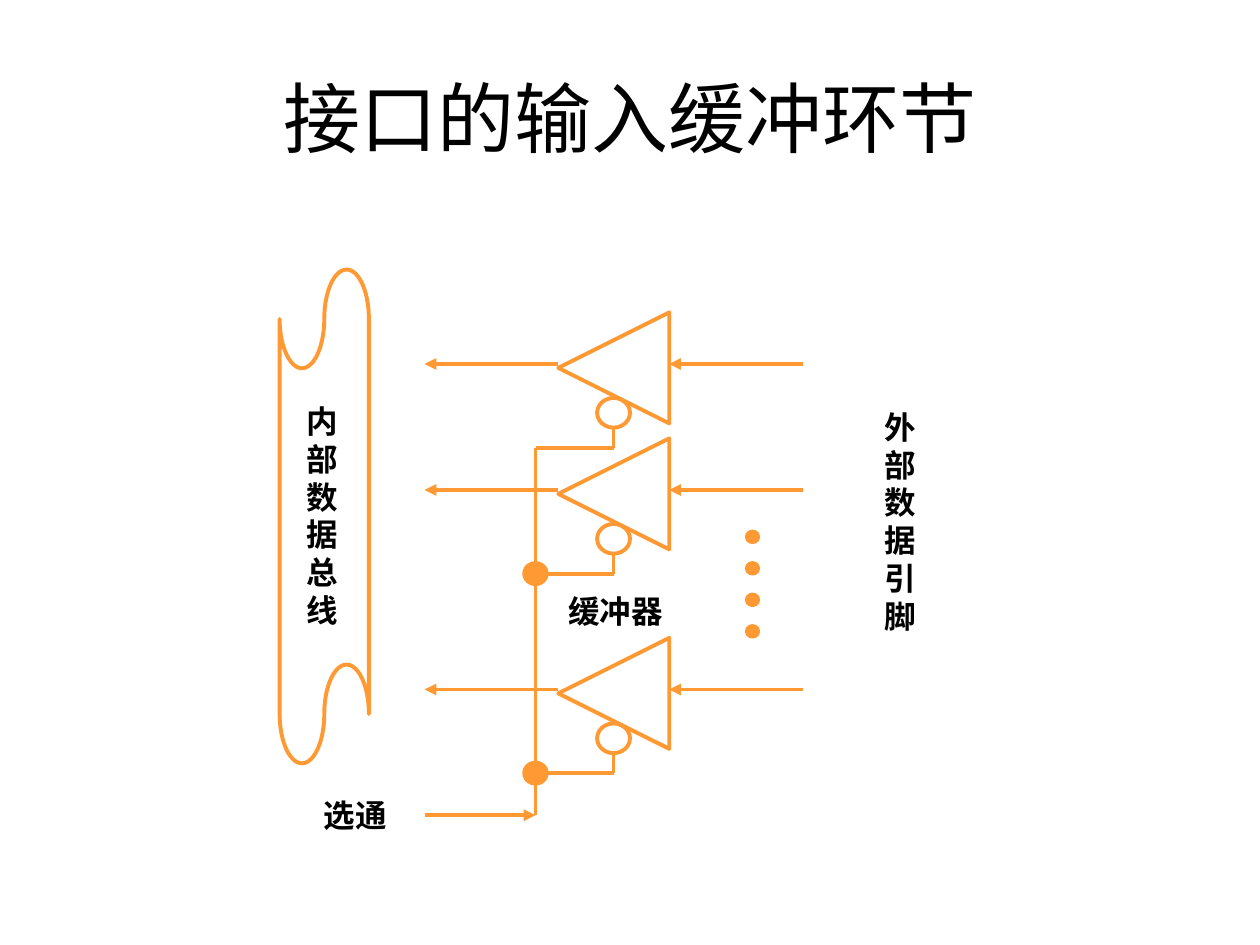
from dataclasses import dataclass
from typing import Any

from lxml.etree import SubElement
from pptx import Presentation
from pptx.dml.color import RGBColor
from pptx.enum.shapes import MSO_CONNECTOR, MSO_SHAPE
from pptx.enum.text import MSO_ANCHOR, MSO_AUTO_SIZE, PP_ALIGN
from pptx.oxml.ns import qn
from pptx.util import Pt

ORANGE = "FF9933"
BLACK = "000000"
LINE_WIDTH = 2.25

BUS_ARROW_X = 242.6
STROBE_X = 306
BUFFER_X = 319
BUFFER_SIZE = 63.4
BUBBLE_X = 350.6
PIN_X = 458.6
STROBE_Y = 465.8
BRANCH_DROP = 47.8


@dataclass(frozen=True)
class Box:
    left: float
    top: float
    width: float
    height: float

    def lengths(self) -> tuple:
        return Pt(self.left), Pt(self.top), Pt(self.width), Pt(self.height)


@dataclass(frozen=True)
class Outline:
    kind: MSO_SHAPE
    box: Box
    fill: str = ""
    rotation: float = 0


@dataclass(frozen=True)
class Wire:
    start_x: float
    start_y: float
    end_x: float
    end_y: float
    arrow: bool = False


@dataclass(frozen=True)
class Label:
    lines: tuple
    box: Box
    font: str = "Arial"
    size: float = 18
    bold: bool = True
    wrap: bool = False


def color(value: str) -> RGBColor:
    return RGBColor.from_string(value)


def apply_format(target: Any, values: dict) -> None:
    for name, value in values.items():
        setattr(target, name, value)


def draw_outline(slide: Any, outline: Outline) -> None:
    shape = slide.shapes.add_shape(outline.kind, *outline.box.lengths())
    shape.shadow.inherit = False
    shape.rotation = outline.rotation
    if outline.fill:
        shape.fill.solid()
        shape.fill.fore_color.rgb = color(outline.fill)
    else:
        shape.fill.background()
    shape.line.color.rgb = color(ORANGE)
    shape.line.width = Pt(LINE_WIDTH)


def draw_wire(slide: Any, wire: Wire) -> None:
    connector = slide.shapes.add_connector(
        MSO_CONNECTOR.STRAIGHT,
        Pt(wire.start_x), Pt(wire.start_y), Pt(wire.end_x), Pt(wire.end_y),
    )
    connector.line.color.rgb = color(ORANGE)
    connector.line.width = Pt(LINE_WIDTH)
    if wire.arrow:
        SubElement(connector.line._get_or_add_ln(), qn("a:tailEnd"), type="triangle")
    SubElement(connector._element.spPr, qn("a:effectLst"))


def draw_label(slide: Any, label: Label) -> None:
    frame = slide.shapes.add_textbox(*label.box.lengths()).text_frame
    fit = MSO_AUTO_SIZE.NONE if label.wrap else MSO_AUTO_SIZE.SHAPE_TO_FIT_TEXT
    apply_format(frame, {
        "text": "\n".join(label.lines),
        "word_wrap": label.wrap,
        "auto_size": fit,
        "vertical_anchor": MSO_ANCHOR.MIDDLE,
    })
    for paragraph in frame.paragraphs:
        paragraph.alignment = PP_ALIGN.CENTER
        for run in paragraph.runs:
            apply_format(run.font, {
                "name": label.font, "size": Pt(label.size), "bold": label.bold,
            })
            run.font.color.rgb = color(BLACK)


def draw_dot(slide: Any, center_x: float, center_y: float, width: float, height: float) -> None:
    box = Box(center_x - width / 2, center_y - height / 2, width, height)
    draw_outline(slide, Outline(MSO_SHAPE.OVAL, box, ORANGE))


def draw_buffer(slide: Any, signal_y: float) -> None:
    triangle = Box(BUFFER_X, signal_y - 29.5, BUFFER_SIZE, BUFFER_SIZE)
    bubble = Box(BUBBLE_X - 9.4, signal_y + 19.4, 18.8, 17)
    branch_y = signal_y + BRANCH_DROP
    draw_outline(slide, Outline(MSO_SHAPE.OVAL, bubble))
    draw_outline(slide, Outline(MSO_SHAPE.ISOSCELES_TRIANGLE, triangle, rotation=270))
    for wire in (
        Wire(BUFFER_X, signal_y, BUS_ARROW_X, signal_y, True),
        Wire(PIN_X, signal_y, BUFFER_X + BUFFER_SIZE, signal_y, True),
        Wire(BUBBLE_X, signal_y + 36.2, BUBBLE_X, branch_y),
        Wire(STROBE_X, branch_y, BUBBLE_X, branch_y),
    ):
        draw_wire(slide, wire)


def main() -> None:
    presentation = Presentation()
    presentation.slide_width = Pt(720)
    presentation.slide_height = Pt(540)
    slide = presentation.slides.add_slide(presentation.slide_layouts[6])

    signal_rows = (208, 280, 394)
    labels = (
        Label(("接口的输入缓冲环节",), Box(36, 21.6, 648, 90), "Calibri", 44, False, True),
        Label(tuple("内部数据总线"), Box(167.8, 226.1, 32.4, 136.8)),
        Label(tuple("外部数据引脚"), Box(498.2, 229.5, 32.4, 136.8)),
        Label(("选通",), Box(177.8, 451.4, 50.4, 28.8)),
        Label(("缓冲器",), Box(317.5, 334.8, 68.4, 28.8)),
    )

    for label in labels:
        draw_label(slide, label)
    draw_outline(slide, Outline(MSO_SHAPE.FLOWCHART_PUNCHED_TAPE, Box(159.8, 154, 51, 282.2)))
    for signal_y in signal_rows:
        draw_buffer(slide, signal_y)
    draw_wire(slide, Wire(STROBE_X, signal_rows[0] + BRANCH_DROP, STROBE_X, STROBE_Y))
    draw_wire(slide, Wire(BUS_ARROW_X, STROBE_Y, STROBE_X, STROBE_Y, True))
    for signal_y in signal_rows[1:]:
        draw_dot(slide, STROBE_X, signal_y + BRANCH_DROP, 12.8, 12)
    for index in range(4):
        draw_dot(slide, 430, 306.8 + index * 18, 6.4, 6)

    presentation.save("out.pptx")


if __name__ == "__main__":
    main()
